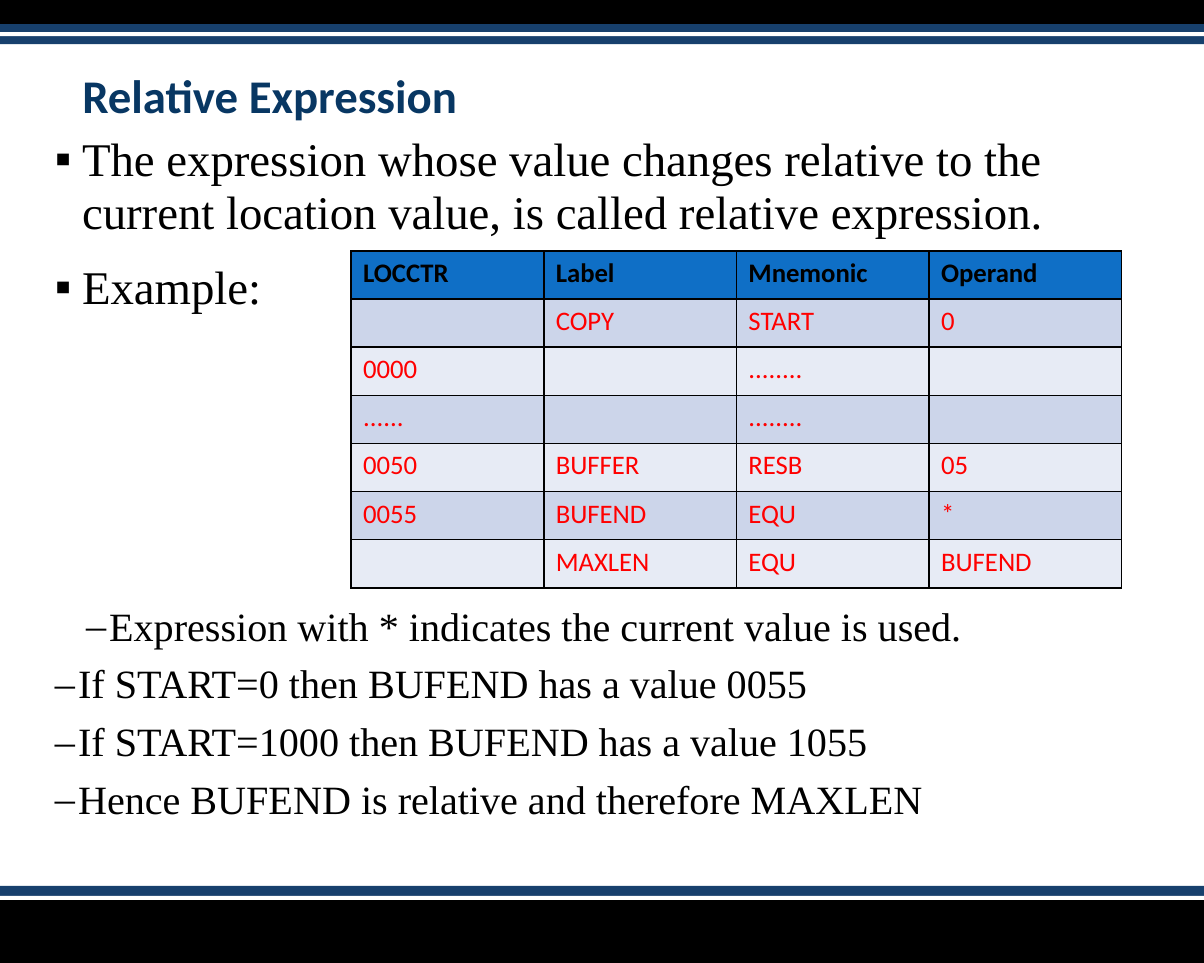
from dataclasses import dataclass

import pptx
import pptx.dml.color
import pptx.enum.shapes
import pptx.enum.text
import pptx.oxml.ns
import pptx.slide
import pptx.table
import pptx.text.text
import pptx.util
from lxml import etree

SCALE = 7620  # EMU per px, 120 px to the inch
WIDE, HIGH = 1200, 960


@dataclass(frozen=True)
class Theme:
    black: str = "000000"
    white: str = "FFFFFF"
    navy: str = "17406D"
    title: str = "083763"
    head: str = "0F6FC6"
    dark: str = "CCD5EA"
    light: str = "E7EBF5"
    red: str = "FF0000"
    sans: str = "Calibri"
    serif: str = "Times New Roman"
    large: int = 28
    mid: int = 24
    small: int = 16


THEME = Theme()


@dataclass(frozen=True)
class Bar:
    top: int
    high: int
    fill: str


@dataclass(frozen=True)
class Point:
    text: str
    size: int
    mark: str
    left: int
    hang: int
    space: float


BARS = [
    Bar(896, 64, THEME.black),
    Bar(883, 13, THEME.navy),
    Bar(893, 4, THEME.white),
    Bar(0, 24, THEME.black),
    Bar(24, 20, THEME.navy),
    Bar(32, 4, THEME.white),
]


def main_point(text: str) -> Point:
    return Point(text, THEME.large, "▪", 27, 27, 13.5)


def sub_point(text: str, left: int = 23) -> Point:
    return Point(text, THEME.mid, "–", left, 23, 7.5)


INTRO = [
    main_point("The expression whose value changes relative to the "
               "current location value, is called relative expression."),
    main_point("Example:"),
]
NOTES = [
    sub_point("Expression with * indicates the current value is used.", 54),
    sub_point("If START=0 then BUFEND has a value 0055"),
    sub_point("If START=1000 then BUFEND has a value 1055"),
    sub_point("Hence BUFEND is relative and therefore MAXLEN"),
]
ROWS = [
    ["LOCCTR", "Label", "Mnemonic", "Operand"],
    ["", "COPY", "START", "0"],
    ["0000", "", "........", ""],
    ["......", "", "........", ""],
    ["0050", "BUFFER", "RESB", "05"],
    ["0055", "BUFEND", "EQU", "*"],
    ["", "MAXLEN", "EQU", "BUFEND"],
]


def px(count: int) -> pptx.util.Emu:
    return pptx.util.Emu(count * SCALE)


def rgb(code: str) -> pptx.dml.color.RGBColor:
    return pptx.dml.color.RGBColor.from_string(code)


def style(font: pptx.text.text.Font, name: str, size: int, color: str,
          bold: bool = False) -> None:
    font.name, font.size, font.bold = name, pptx.util.Pt(size), bold
    font.color.rgb = rgb(color)


def node(parent: etree._Element, tag: str, **attrs: str) -> etree._Element:
    return etree.SubElement(parent, pptx.oxml.ns.qn(tag), attrs)


def add_bar(slide: pptx.slide.Slide, bar: Bar) -> None:
    shape = slide.shapes.add_shape(
        pptx.enum.shapes.MSO_SHAPE.RECTANGLE,
        px(0), px(bar.top), px(WIDE), px(bar.high))
    shape.shadow.inherit = False
    shape.fill.solid()
    shape.fill.fore_color.rgb = rgb(bar.fill)
    shape.line.fill.background()


def add_title(slide: pptx.slide.Slide, text: str) -> None:
    title = slide.shapes.title
    title.left, title.top = px(70), px(49)
    title.width, title.height = px(1020), px(80)
    frame = title.text_frame
    frame.text = text
    frame.vertical_anchor = pptx.enum.text.MSO_ANCHOR.BOTTOM
    frame.auto_size = pptx.enum.text.MSO_AUTO_SIZE.NONE
    line = frame.paragraphs[0]
    line.alignment = pptx.enum.text.PP_ALIGN.LEFT
    line.line_spacing = 0.9
    style(line.runs[0].font, THEME.sans, THEME.large, THEME.title, True)


def add_list(slide: pptx.slide.Slide, top: int, high: int,
             points: list[Point]) -> None:
    box = slide.shapes.add_textbox(px(43), px(top), px(1114), px(high))
    frame = box.text_frame
    frame.word_wrap = True
    for index, point in enumerate(points):
        line = frame.add_paragraph() if index else frame.paragraphs[0]
        line.text = point.text
        line.line_spacing = 0.94
        if index:
            line.space_before = pptx.util.Pt(point.space)
        props = line._p.get_or_add_pPr()
        props.set("marL", str(px(point.left)))
        props.set("indent", str(-px(point.hang)))
        tint = node(props, "a:buClr")
        node(tint, "a:srgbClr", val=THEME.black)
        node(props, "a:buFont", typeface=THEME.serif)
        node(props, "a:buChar", char=point.mark)
        style(line.runs[0].font, THEME.serif, point.size, THEME.black)


def add_edges(cell: pptx.table._Cell) -> None:
    """Draw a thin black border on all sides; call before filling the cell."""
    props = cell._tc.get_or_add_tcPr()
    for side in "LRTB":
        edge = node(props, f"a:ln{side}", w=str(pptx.util.Pt(1)))
        fill = node(edge, "a:solidFill")
        node(fill, "a:srgbClr", val=THEME.black)


def add_grid(slide: pptx.slide.Slide, rows: list[list[str]]) -> None:
    count = len(rows[0])
    table = slide.shapes.add_table(
        len(rows), count, px(350), px(250),
        px(192 * count), px(48 * len(rows))).table
    table.first_row = table.horz_banding = False
    for r, row in enumerate(rows):
        band = THEME.dark if r % 2 else THEME.light
        for c, text in enumerate(row):
            cell = table.cell(r, c)
            add_edges(cell)
            cell.fill.solid()
            cell.fill.fore_color.rgb = rgb(band if r else THEME.head)
            cell.text = text
            line = cell.text_frame.paragraphs[0]
            color = THEME.red if r else THEME.black
            for font in [line.font] + [run.font for run in line.runs]:
                style(font, THEME.sans, THEME.small, color, r == 0)


def main() -> None:
    deck = pptx.Presentation()
    deck.slide_width, deck.slide_height = px(WIDE), px(HIGH)
    slide = deck.slides.add_slide(deck.slide_layouts[5])
    for bar in BARS:
        add_bar(slide, bar)
    add_title(slide, "Relative Expression")
    add_list(slide, 128, 190, INTRO)
    add_list(slide, 597, 220, NOTES)
    add_grid(slide, ROWS)
    deck.save("out.pptx")


if __name__ == "__main__":
    main()
